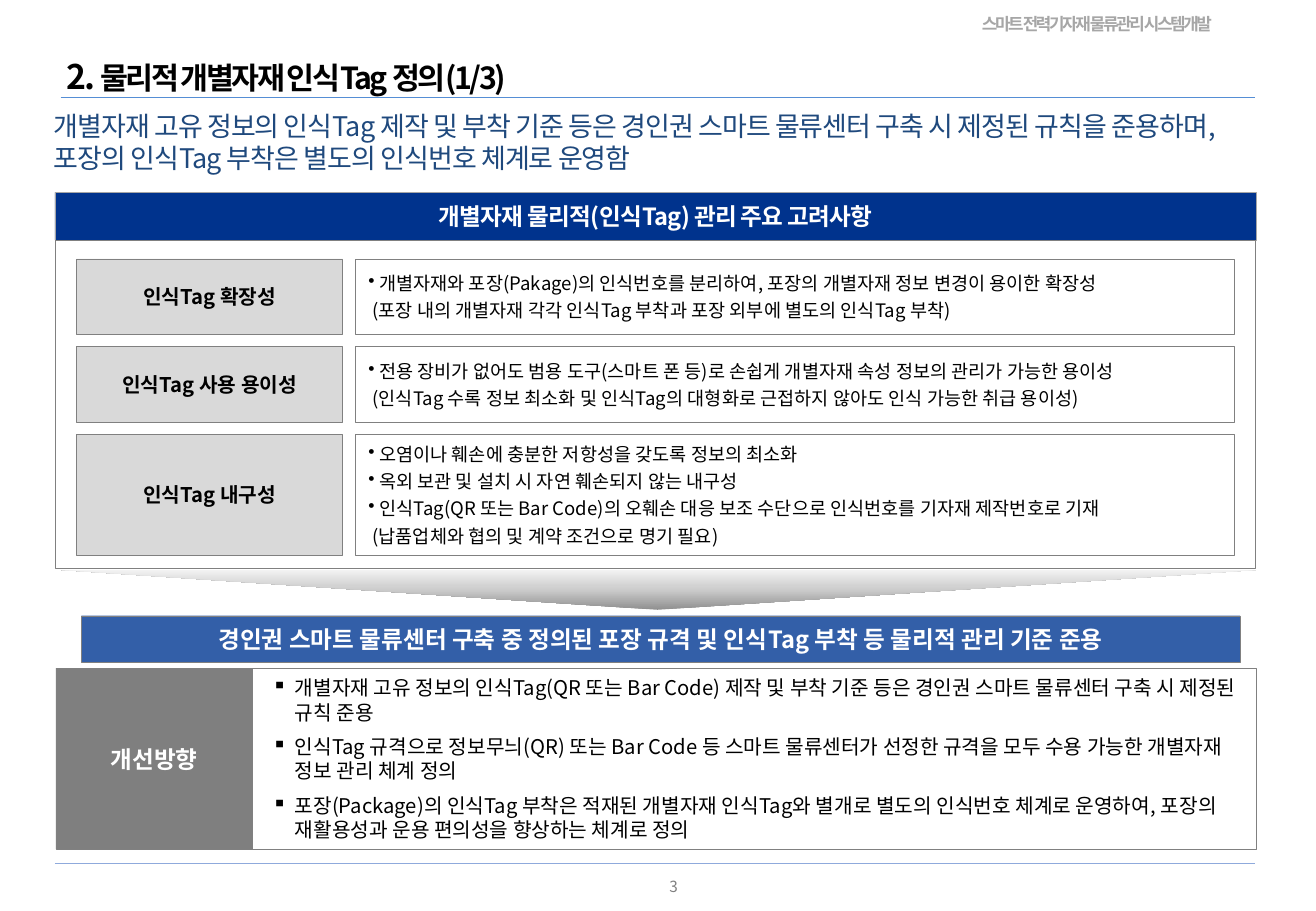
from dataclasses import dataclass

from lxml import etree
from pptx import Presentation
from pptx import util as u
from pptx.dml.color import RGBColor
from pptx.enum import shapes, text
from pptx.oxml import parse_xml
from pptx.oxml.ns import nsdecls, qn

FONT = "Noto Sans CJK KR"
COLORS = {
    "black": "000000", "white": "FFFFFF", "navy": "00338D", "blue": "335FA8",
    "summary": "1F497D", "title_rule": "558ED5", "footer_rule": "8FAADC",
    "border": "808080", "header_border": "A6A6A6", "running_head": "A6A6A6",
    "label": "D9D9D9", "direction": "7F7F7F", "page_number": "808080",
    "arrow_dark": "909090", "arrow_middle": "CCCCCC", "arrow_light": "F2F2F2",
}
LEFT, CENTER = text.PP_ALIGN.LEFT, text.PP_ALIGN.CENTER
TOP, MIDDLE = text.MSO_ANCHOR.TOP, text.MSO_ANCHOR.MIDDLE


@dataclass(frozen=True)
class Box:
    left: float
    top: float
    width: float
    height: float


@dataclass(frozen=True)
class Style:
    size: float
    color: str = "black"
    bold: bool = False
    tracking: float = 0
    align: int = CENTER
    anchor: int = MIDDLE
    insets: tuple[float, float, float, float] = (8, 3.6, 8, 3.6)
    space_after: float = 0
    indent: float = 0
    bullet: str = ""


@dataclass(frozen=True)
class Consideration:
    label: str
    points: list[str]
    note: str
    height: float


@dataclass(frozen=True)
class Rule:
    left: float
    top: float
    color: str
    weight: float


def rgb(name: str) -> RGBColor:
    return RGBColor.from_string(COLORS[name])


def format_run(run, style: Style) -> None:
    run.font.name = FONT
    run.font.size = u.Pt(style.size)
    run.font.bold = style.bold
    run.font.color.rgb = rgb(style.color)
    properties = run._r.get_or_add_rPr()
    etree.SubElement(properties, qn("a:ea")).set("typeface", FONT)
    if style.tracking:
        properties.set("spc", str(round(style.tracking * 100)))


def write(shape, lines: list[str], style: Style, unmarked: str = "") -> None:
    """Fill a shape with paragraphs; the unmarked line gets no bullet."""
    frame = shape.text_frame
    frame.text = "\n".join(lines + [unmarked] if unmarked else lines)
    frame.word_wrap = True
    frame.vertical_anchor = style.anchor
    (frame.margin_left, frame.margin_top,
     frame.margin_right, frame.margin_bottom) = map(u.Pt, style.insets)
    for index, paragraph in enumerate(frame.paragraphs):
        paragraph.alignment = style.align
        paragraph.space_after = u.Pt(style.space_after)
        if style.bullet and index < len(lines):
            properties = paragraph._p.get_or_add_pPr()
            properties.set("marL", str(u.Pt(style.indent)))
            properties.set("indent", str(-u.Pt(style.indent)))
            etree.SubElement(properties, qn("a:buChar")).set("char", style.bullet)
        for run in paragraph.runs:
            format_run(run, style)


def add_text(slide, box: Box, line: str, style: Style):
    shape = slide.shapes.add_textbox(*map(u.Pt, (box.left, box.top, box.width, box.height)))
    write(shape, [line], style)
    return shape


def add_shape(slide, kind, box: Box):
    shape = slide.shapes.add_shape(kind, *map(u.Pt, (box.left, box.top, box.width, box.height)))
    shape.shadow.inherit = False
    return shape


def add_rectangle(slide, box: Box, fill: str = "", border: str = "border"):
    shape = add_shape(slide, shapes.MSO_SHAPE.RECTANGLE, box)
    if fill:
        shape.fill.solid()
        shape.fill.fore_color.rgb = rgb(fill)
    else:
        shape.fill.background()
    shape.line.color.rgb = rgb(border)
    shape.line.width = u.Pt(0.25)
    return shape


def add_rule(slide, rule: Rule) -> None:
    line = slide.shapes.add_connector(
        shapes.MSO_CONNECTOR.STRAIGHT,
        u.Pt(rule.left), u.Pt(rule.top), u.Pt(RIGHT), u.Pt(rule.top))
    line.line.color.rgb = rgb(rule.color)
    line.line.width = u.Pt(rule.weight)
    etree.SubElement(line._element.spPr, qn("a:effectLst"))


def add_down_arrow(slide, box: Box) -> None:
    arrow = add_shape(slide, shapes.MSO_SHAPE.ISOSCELES_TRIANGLE, box)
    arrow.adjustments[0] = 0.499
    arrow.line.fill.background()
    properties = arrow._element.spPr
    properties.find(qn("a:xfrm")).set("flipV", "1")
    stops = ((0, "arrow_dark"), (50, "arrow_middle"), (100, "arrow_light"))
    stop_xml = "".join(
        f'<a:gs pos="{position * 1000}"><a:srgbClr val="{COLORS[name]}"/></a:gs>'
        for position, name in stops)
    properties.find(qn("a:prstGeom")).addnext(parse_xml(
        f'<a:gradFill {nsdecls("a")} rotWithShape="1"><a:gsLst>{stop_xml}</a:gsLst>'
        '<a:lin ang="5400000" scaled="0"/></a:gradFill>'))


LEFT_EDGE, RIGHT = 32.5, 744
ROW_TOP, ROW_GAP = 153.4, 7.5
HEADING = Style(14, "white", True)
LABEL = Style(12, bold=True)
POINT = Style(11, align=LEFT, space_after=3, indent=6.5, bullet="•")
DIRECTION = Style(12, align=LEFT, insets=(11.5, 3.6, 0, 3.6),
                  space_after=6, indent=13.5, bullet="▪")
RULES = [Rule(36, 57.6, "title_rule", 0.25), Rule(LEFT_EDGE, 512, "footer_rule", 0.75)]
CONSIDERATIONS = [
    Consideration(
        "인식Tag 확장성",
        ["개별자재와 포장(Pakage)의 인식번호를 분리하여, 포장의 개별자재 정보 변경이 용이한 확장성"],
        " (포장 내의 개별자재 각각 인식Tag 부착과 포장 외부에 별도의 인식Tag 부착)", 44.6),
    Consideration(
        "인식Tag 사용 용이성",
        ["전용 장비가 없어도 범용 도구(스마트 폰 등)로 손쉽게 개별자재 속성 정보의 관리가 가능한 용이성"],
        " (인식Tag 수록 정보 최소화 및 인식Tag의 대형화로 근접하지 않아도 인식 가능한 취급 용이성)", 44.6),
    Consideration(
        "인식Tag 내구성",
        ["오염이나 훼손에 충분한 저항성을 갖도록 정보의 최소화",
         "옥외 보관 및 설치 시 자연 훼손되지 않는 내구성",
         "인식Tag(QR 또는 Bar Code)의 오훼손 대응 보조 수단으로 인식번호를 기자재 제작번호로 기재"],
        " (납품업체와 협의 및 계약 조건으로 명기 필요)", 71.3),
]
DIRECTIONS = [
    "개별자재 고유 정보의 인식Tag(QR 또는 Bar Code) 제작 및 부착 기준 등은 경인권 스마트 물류센터 구축 시 제정된 규칙 준용",
    "인식Tag 규격으로 정보무늬(QR) 또는 Bar Code 등 스마트 물류센터가 선정한 규격을 모두 수용 가능한 개별자재 정보 관리 체계 정의",
    "포장(Package)의 인식Tag 부착은 적재된 개별자재 인식Tag와 별개로 별도의 인식번호 체계로 운영하여, 포장의 재활용성과 운용 편의성을 향상하는 체계로 정의",
]


def main() -> None:
    presentation = Presentation()
    presentation.slide_width, presentation.slide_height = u.Pt(780), u.Pt(540)
    slide = presentation.slides.add_slide(presentation.slide_layouts[6])

    # Page frame
    add_text(slide, Box(376.5, 514, 39.6, 22.3), "3",
             Style(9.1, "page_number", anchor=TOP, insets=(5.8, 5.8, 0, 0)))
    running_head = add_text(
        slide, Box(570.2, 5, 159.8, 17.3), "스마트 전력기자재 물류관리 시스템개발",
        Style(10, "running_head", True, -1.4, anchor=TOP, insets=(2.9, 2.9, 2.9, 2.9)))
    running_head.text_frame.word_wrap = False
    for rule in RULES:
        add_rule(slide, rule)

    # Title and summary
    add_text(slide, Box(31.7, 64.8, 712, 42.5),
             "개별자재 고유 정보의 인식Tag 제작 및 부착 기준 등은 경인권 스마트 물류센터 구축 시 "
             "제정된 규칙을 준용하며, 포장의 인식Tag 부착은 별도의 인식번호 체계로 운영함",
             Style(16, "summary", tracking=-0.5, align=LEFT, anchor=TOP, insets=(0, 0, 0, 0)))
    title_style = Style(18, bold=True, tracking=-1.5, align=LEFT, anchor=TOP,
                        insets=(7.2, 3.6, 7.2, 3.6))
    title = add_text(slide, Box(LEFT_EDGE, 21.6, 712, 32.4), "2. ", title_style)
    paragraph = title.text_frame.paragraphs[0]
    paragraph.line_spacing = u.Pt(32)
    paragraph.runs[0].font.size = u.Pt(20)
    title_run = paragraph.add_run()
    title_run.text = "물리적 개별자재 인식Tag 정의(1/3)"
    format_run(title_run, title_style)

    # Considerations
    add_down_arrow(slide, Box(33, 337.7, 715, 23.8))
    header = add_rectangle(slide, Box(LEFT_EDGE, 114, 712, 28.3), "navy", "header_border")
    write(header, ["개별자재 물리적(인식Tag) 관리 주요 고려사항"],
          Style(14, "white", True, -0.5))
    add_rectangle(slide, Box(LEFT_EDGE, 142.3, 711.5, 194.6))
    top = ROW_TOP
    for row in CONSIDERATIONS:
        points = add_rectangle(slide, Box(210.3, top, 521.3, row.height), "white")
        write(points, row.points, POINT, row.note)
        label = add_rectangle(slide, Box(45.4, top, 157.7, row.height), "label")
        write(label, [row.label], LABEL)
        top += row.height + ROW_GAP

    # Conclusion and directions
    directions = add_rectangle(slide, Box(149.8, 396, 594.7, 107.3), "white")
    write(directions, DIRECTIONS, DIRECTION)
    direction_label = add_rectangle(slide, Box(33.1, 396, 116.6, 107.3), "direction")
    write(direction_label, ["개선방향"], HEADING)
    conclusion = add_rectangle(slide, Box(48.2, 365, 686.9, 27.4), "blue")
    write(conclusion, ["경인권 스마트 물류센터 구축 중 정의된 포장 규격 및 인식Tag 부착 등 물리적 관리 기준 준용"],
          HEADING)

    presentation.save("out.pptx")


if __name__ == "__main__":
    main()
